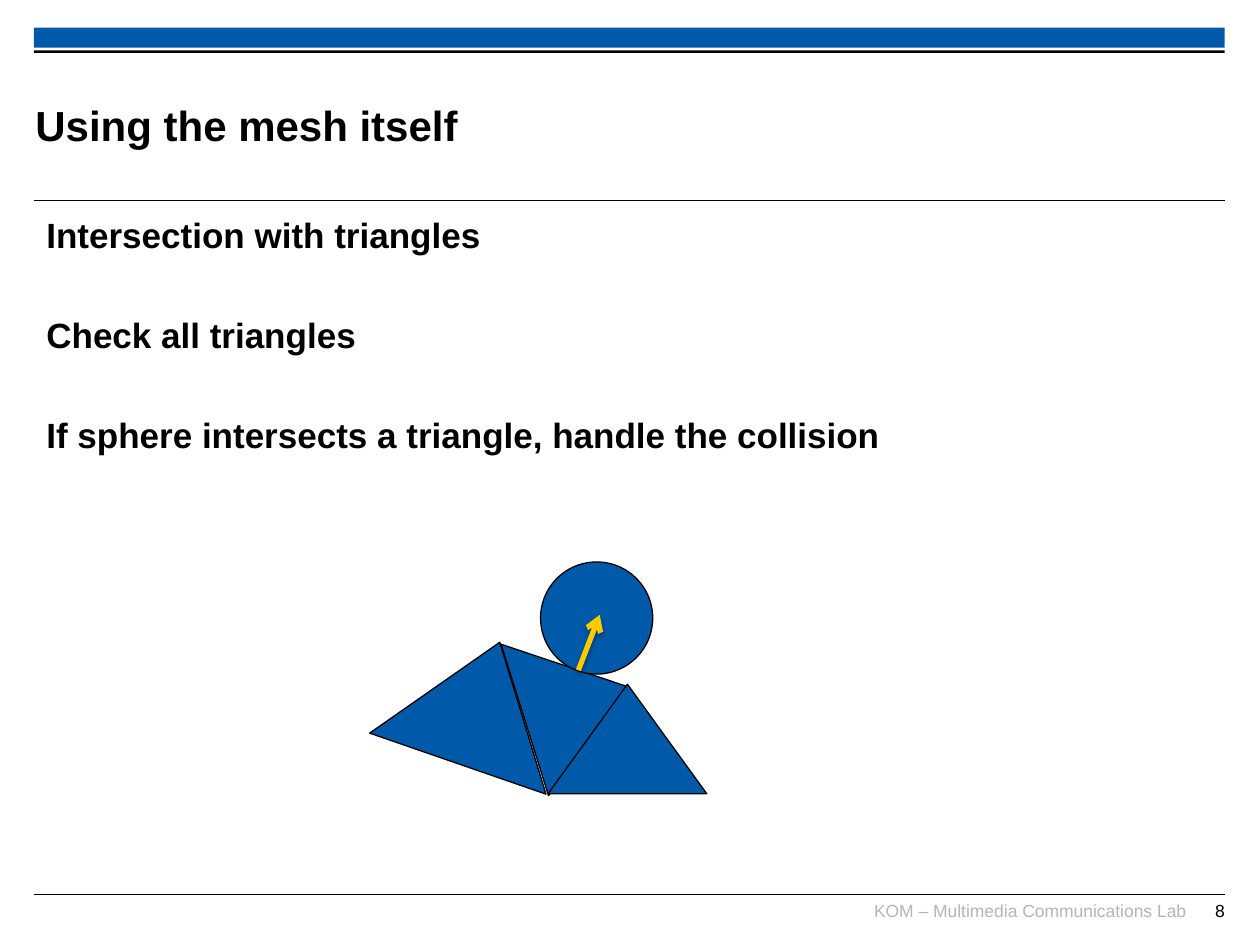
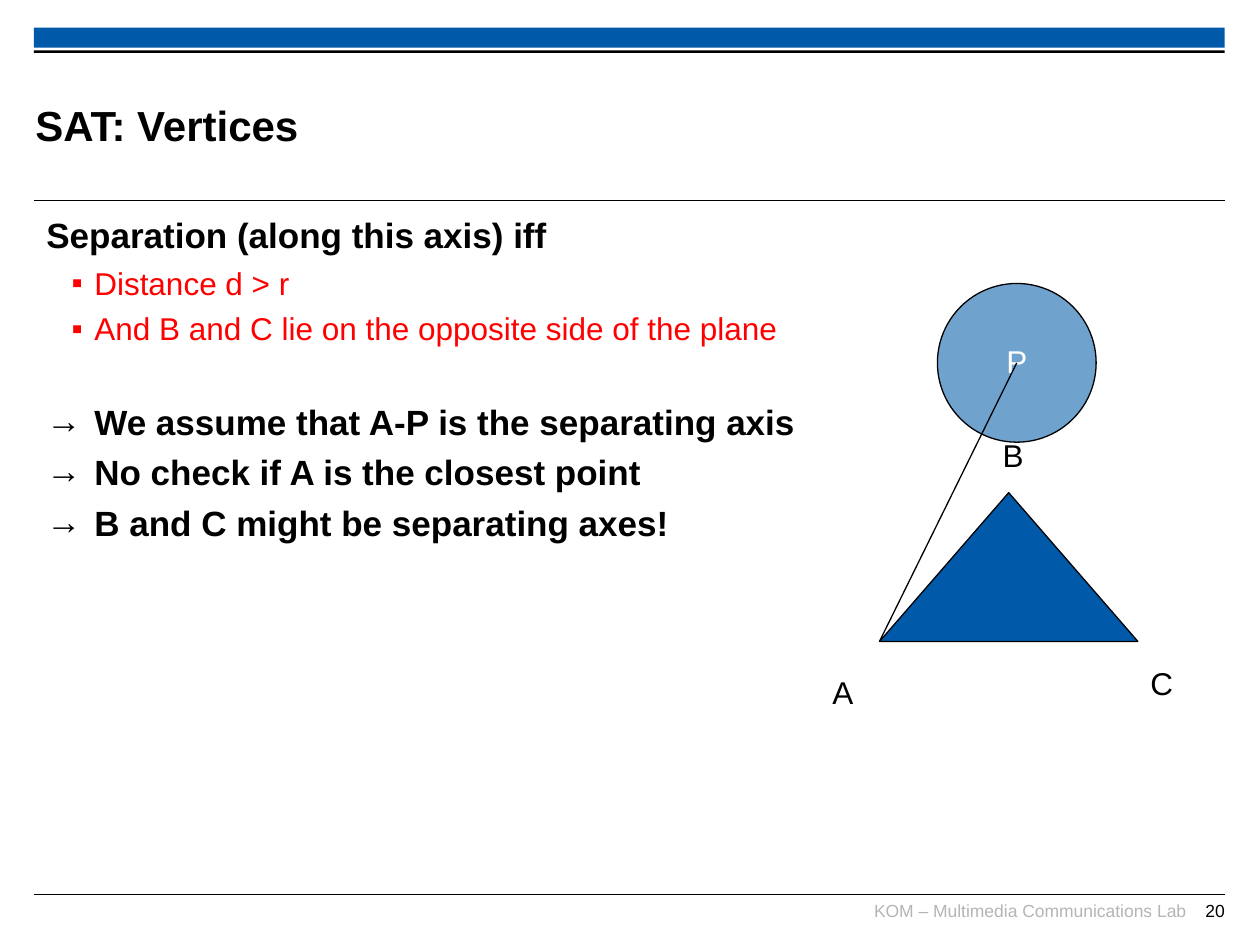
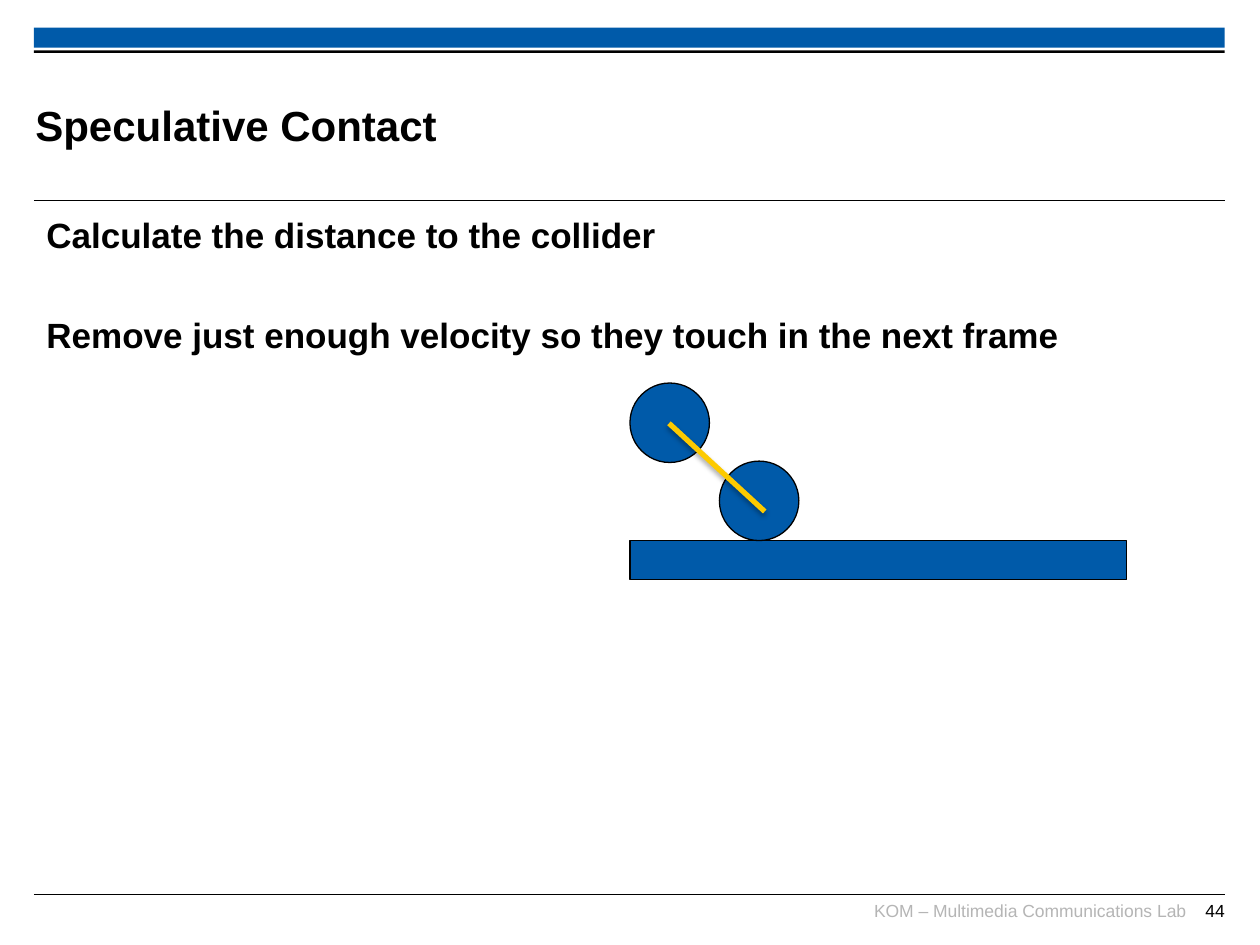
from lxml.etree import SubElement
from pptx import Presentation
from pptx.dml.color import RGBColor
from pptx.enum.shapes import MSO_CONNECTOR, MSO_SHAPE
from pptx.enum.text import MSO_ANCHOR, PP_ALIGN
from pptx.oxml.ns import qn
from pptx.util import Pt

BLUE = RGBColor(0x00, 0x5A, 0xA9)
YELLOW = RGBColor(0xFD, 0xCA, 0x00)
RED = RGBColor(0xFF, 0x00, 0x00)
GRAY = RGBColor(0xB5, 0xB5, 0xB5)
BLACK = RGBColor(0x00, 0x00, 0x00)
WHITE = RGBColor(0xFF, 0xFF, 0xFF)

FONT = "Arial"
LEFT, WIDTH = 19.4, 680.4
FOOTER_TOP = 514.1

# Paragraph kinds: size, colour, bold, bullet, left margin, hanging indent
POINT = (20, BLACK, True, None, 14.4, 14.4)
SUBPOINT = (18, RED, False, "▪", 27.4, 13)
CONCLUSION = (20, BLACK, True, "→", 27.4, 27.4)


class Deck:
    def __init__(self):
        self.prs = Presentation()
        self.prs.slide_width, self.prs.slide_height = Pt(720), Pt(540)
        self.s = None

    def new_slide(self, title, number):
        """Start a slide with its bands, rules, title and footer."""
        self.s = self.prs.slides.add_slide(self.prs.slide_layouts[6])
        self.line((LEFT, 511.2), (LEFT + WIDTH, 511.2), width=0.6)
        self.shape(MSO_SHAPE.RECTANGLE, LEFT, 15.8, WIDTH, 11.5, outline=False)
        self.line((LEFT, 114.5), (LEFT + WIDTH, 114.5), width=0.6)
        self.shape(MSO_SHAPE.RECTANGLE, LEFT, 28.8, WIDTH, 1.4,
                   fill=BLACK, outline=False)
        self.text("KOM – Multimedia Communications Lab", 496.1, FOOTER_TOP,
                  181.6, 18, 10, GRAY, PP_ALIGN.RIGHT)
        self.text(str(number), 668.9, FOOTER_TOP, 31, 17.3, 10,
                  align=PP_ALIGN.RIGHT)
        self.text(title, 20.2, 38.2, 541.4, 66.2, 24, bold=True,
                  anchor=MSO_ANCHOR.MIDDLE)

    def style(self, p, size, color, bold=False):
        for r in p.runs:
            r.font.name = FONT
            r.font.size = Pt(size)
            r.font.bold = bold
            r.font.color.rgb = color

    def textbox(self, x, y, w, h, margin=0):
        tf = self.s.shapes.add_textbox(Pt(x), Pt(y), Pt(w), Pt(h)).text_frame
        tf.margin_left = tf.margin_right = Pt(margin)
        tf.margin_top = tf.margin_bottom = Pt(margin / 2)
        tf.word_wrap = True
        return tf

    def text(self, text, x, y, w, h, size, color=BLACK, align=PP_ALIGN.LEFT,
             bold=False, anchor=MSO_ANCHOR.TOP):
        tf = self.textbox(x, y, w, h)
        tf.vertical_anchor = anchor
        p = tf.paragraphs[0]
        p.text, p.alignment = text, align
        self.style(p, size, color, bold)

    def label(self, tf, text, color=BLACK):
        """Write a centred letter into a text frame."""
        tf.word_wrap = False
        p = tf.paragraphs[0]
        p.text, p.alignment, p.line_spacing = text, PP_ALIGN.CENTER, 0.93
        self.style(p, 18, color)

    def body(self, *items):
        """Each item is (text, kind, extra gap above in points)."""
        tf = self.textbox(LEFT, 116.6, WIDTH, 391, margin=7.2)
        tf.margin_top = Pt(5.6)
        for i, (text, kind, gap) in enumerate(items):
            size, color, bold, bullet, margin, hang = kind
            p = tf.add_paragraph() if i else tf.paragraphs[0]
            p.text = text
            pPr = p._p.get_or_add_pPr()
            pPr.set("marL", str(Pt(margin)))
            pPr.set("indent", str(-Pt(hang)))
            if bullet:
                SubElement(pPr, qn("a:buFont"), typeface=FONT)
                SubElement(pPr, qn("a:buChar"), char=bullet)
            else:
                SubElement(pPr, qn("a:buNone"))
            if i:
                p.space_before = Pt(size / 4 + gap)
            self.style(p, size, color, bold)

    def shape(self, kind, x, y, w, h, fill=BLUE, outline=True, rotation=0,
              opacity=None):
        sp = self.s.shapes.add_shape(kind, Pt(x), Pt(y), Pt(w), Pt(h))
        sp.shadow.inherit = False
        sp.rotation = rotation
        sp.fill.solid()
        sp.fill.fore_color.rgb = fill
        if opacity:
            clr = sp._element.spPr.find(qn("a:solidFill"))[0]
            SubElement(clr, qn("a:alpha"), val=str(opacity * 1000))
        if outline:
            sp.line.color.rgb = BLACK
            sp.line.width = Pt(0.75)
        else:
            sp.line.fill.background()
        return sp

    def triangle(self, x, y, w, h, rotation=0):
        return self.shape(MSO_SHAPE.ISOSCELES_TRIANGLE, x, y, w, h,
                          rotation=rotation)

    def circle(self, x, y, d, opacity=None):
        return self.shape(MSO_SHAPE.OVAL, x, y, d, d, opacity=opacity)

    def line(self, start, end, color=BLACK, width=0.75, arrow=False,
             shadow=False):
        ends = [Pt(v) for v in (*start, *end)]
        cx = self.s.shapes.add_connector(MSO_CONNECTOR.STRAIGHT, *ends)
        cx.line.color.rgb = color
        cx.line.width = Pt(width)
        spPr = cx._element.spPr
        if arrow:
            SubElement(spPr.find(qn("a:ln")), qn("a:tailEnd"), type="arrow")
        effects = SubElement(spPr, qn("a:effectLst"))
        if shadow:
            outer = SubElement(effects, qn("a:outerShdw"),
                               blurRad=str(Pt(3.1)), dist=str(Pt(1.8)),
                               dir="5400000", rotWithShape="0")
            clr = SubElement(outer, qn("a:srgbClr"), val=str(BLACK))
            SubElement(clr, qn("a:alpha"), val="35000")

    def velocity(self, start, end, arrow=False):
        self.line(start, end, YELLOW, 3, arrow, shadow=True)


def mesh_slide(deck):
    deck.new_slide("Using the mesh itself", 8)
    deck.body(("Intersection with triangles", POINT, 0),
              ("Check all triangles", POINT, 28),
              ("If sphere intersects a triangle, handle the collision",
               POINT, 28))
    # Mesh of three triangles
    deck.triangle(284.4, 370.8, 90.7, 62.6, 72.6)
    deck.triangle(313.2, 391, 90.7, 62.6)
    deck.triangle(220.3, 365, 106.6, 73.4, 19.1)
    # Sphere and its push direction
    deck.circle(308.9, 321.1, 64.1)
    deck.velocity((330.5, 383), (342.7, 351.4), arrow=True)


def vertices_slide(deck):
    deck.new_slide("SAT: Vertices", 20)
    deck.body(("Separation (along this axis) iff", POINT, 0),
              ("Distance d > r", SUBPOINT, 0),
              ("And B and C lie on the opposite side of the plane",
               SUBPOINT, 0),
              ("We assume that A-P is the separating axis", CONCLUSION, 25.2),
              ("No check if A is the closest point", CONCLUSION, 0),
              ("B and C might be separating axes!", CONCLUSION, 0))
    # Triangle with named corners
    deck.triangle(502.6, 281.5, 147.6, 85)
    for name, x, y in (("A", 468, 383), ("B", 565.2, 247.7),
                       ("C", 650.2, 378)):
        deck.label(deck.textbox(x, y, 27.4, 28.1, margin=7.2), name)
    # Sphere around P and the axis A-P
    sphere = deck.circle(535.7, 162, 90.7, opacity=56)
    sphere.text_frame.vertical_anchor = MSO_ANCHOR.MIDDLE
    deck.label(sphere.text_frame, "P", WHITE)
    deck.line((581, 207.4), (502.6, 366.5))


def contact_slide(deck):
    deck.new_slide("Speculative Contact", 44)
    deck.body(("Calculate the distance to the collider", POINT, 0),
              ("Remove just enough velocity so they touch in the next frame",
               POINT, 28))
    # Ground, sphere before and after the step
    deck.shape(MSO_SHAPE.RECTANGLE, 360, 308.9, 283.7, 22.3)
    deck.circle(360, 218.9, 45.4)
    deck.circle(411.1, 263.5, 45.4)
    deck.velocity((382.3, 241.9), (437, 292.3))


def main():
    deck = Deck()
    mesh_slide(deck)
    vertices_slide(deck)
    contact_slide(deck)
    deck.prs.save("out.pptx")


if __name__ == "__main__":
    main()
